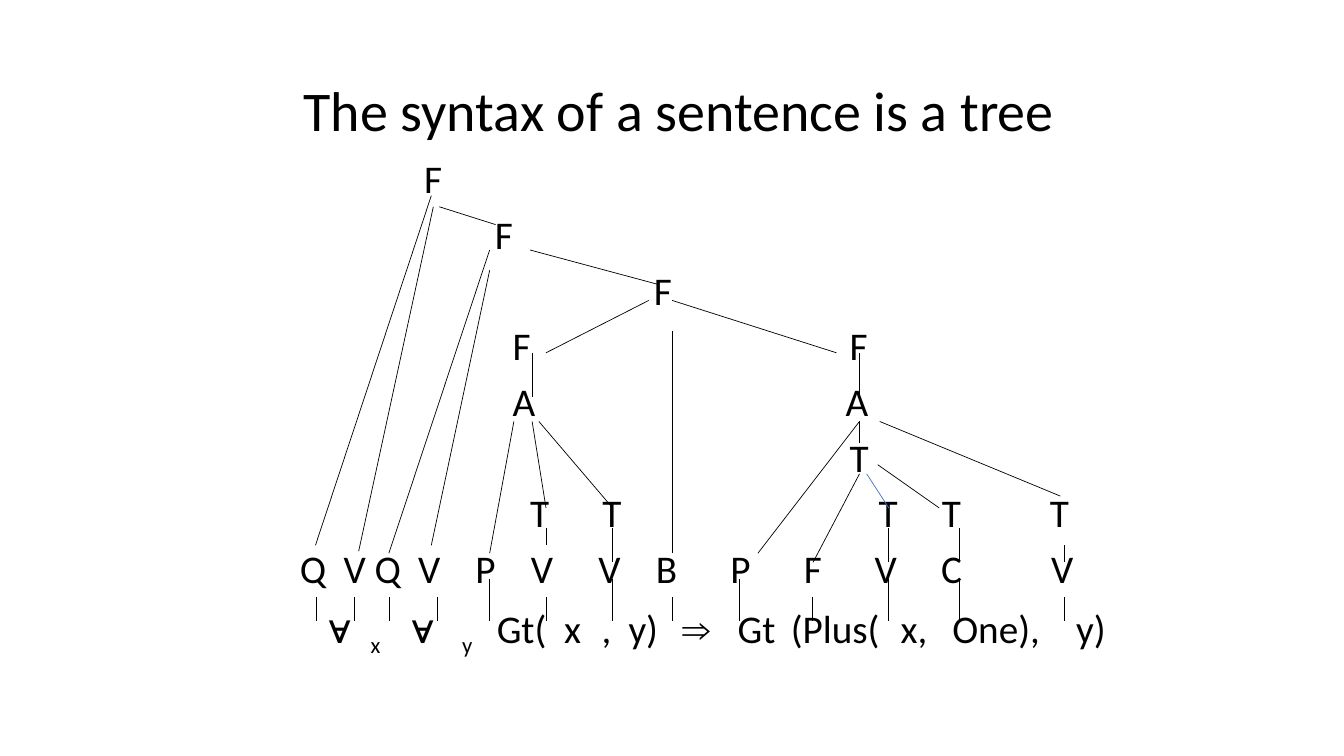
from lxml.etree import SubElement as add_element
from pptx import Presentation
from pptx.dml.color import RGBColor
from pptx.enum.shapes import MSO_CONNECTOR as Connector
from pptx.enum.text import MSO_ANCHOR as Anchor, PP_ALIGN as Align
from pptx.oxml.ns import qn
from pptx.util import Cm, Pt

BLACK, BLUE = "000000", "4472C4"
BODY_FONT, SYMBOL_FONT = "Calibri", "Times New Roman"

TREE_ROWS = [
    [("F", 7.85)],
    [("F", 9.63)],
    [("F", 13.64)],
    [("F", 10.08), ("F", 18.57)],
    [("A", 10.08), ("A", 18.47)],
    [("T", 18.57)],
    [("T", 10.52), ("T", 12.34), ("T", 19.3), ("T", 20.9), ("T", 23.62)],
    [("Q", 4.72), ("V", 5.82), ("Q", 6.6), ("V", 7.7), ("P", 9.14),
     ("V", 10.54), ("V", 12.24), ("B", 13.69), ("P", 15.57), ("F", 17.42),
     ("V", 19.2), ("C", 20.88), ("V", 23.65)],
    [("∀", 5.44), ("x", 6.5), ("∀", 7.52), ("y", 8.81), ("Gt(", 9.68),
     ("x", 11.38), (",", 12.32), ("y)", 13), ("⇒", 14.35), ("Gt", 15.75),
     ("(Plus(", 17.09), ("x,", 19.86), ("One),", 21.16), ("y)", 24.28)],
]
SUBSCRIPT_STOPS = {6.5, 8.81}

SHORT_LEAF_STEMS = [5.13, 6.1, 6.96, 8.18, 10.92, 14.1, 17.63, 23.98]
LONG_LEAF_STEMS = [9.5, 12.6, 15.8, 19.56, 21.34]
STEM_GROUPS = [
    (SHORT_LEAF_STEMS, 11.13, 11.73),
    (LONG_LEAF_STEMS, 10.67, 11.73),
    ([10.92], 9.4, 9.83),
    ([12.6, 19.56, 21.34], 9.4, 10.26),
    ([23.98], 9.83, 10.26),
    ([18.82], 6.71, 7.26),
    ([10.57, 18.82], 4.98, 6.1),
    ([14.1], 4.42, 10.03),
]
BRANCHES = [
    (18.82, 8.03, 17.65, 10.26),
    (10.11, 6.71, 9.5, 10.03),
    (10.57, 6.71, 10.92, 8.89),
    (18.82, 6.71, 16.26, 10.03),
    (19.28, 7.8, 20.83, 8.89),
    (10.74, 6.71, 12.6, 8.89),
    (19.33, 6.71, 23.88, 8.59),
    (13.51, 3.66, 10.92, 4.98),
    (14.1, 3.66, 18.24, 4.98),
    (9.5, 2.39, 6.96, 10.03),
    (9.5, 2.9, 8.03, 9.83),
    (10.52, 2.39, 13.72, 3.25),
    (8.03, 1.02, 5.11, 9.83),
    (8.08, 1.3, 6.2, 9.98),
    (8.23, 1.3, 9.65, 1.75),
]
BLUE_BRANCH = (19, 8.03, 19.56, 8.89)


def color(hex_text):
    """Turn a hex string into a colour."""
    return RGBColor.from_string(hex_text)


def add_span(para, text, size=28, font=BODY_FONT, fill=BLACK, subscript=False):
    """Add formatted text to a paragraph."""
    span = para.add_run()
    span.text = text
    span.font.size = Pt(size)
    span.font.name = font
    span.font.color.rgb = color(fill)
    if subscript:
        span.font._element.set("baseline", "-25000")


def add_text_frame(page, box, anchor):
    """Add a wrapping text box and return its frame."""
    frame = page.shapes.add_textbox(*(Cm(value) for value in box)).text_frame
    frame.word_wrap = True
    frame.vertical_anchor = anchor
    return frame


def add_title(page, box):
    """Place the centred slide title."""
    para = add_text_frame(page, box, Anchor.MIDDLE).paragraphs[0]
    para.alignment = Align.CENTER
    para.line_spacing = 0.9
    add_span(para, "The syntax of a sentence is a tree", size=40)


def add_tree_row(para, row):
    """Write one level of the tree on its tab stops."""
    para.line_spacing = 0.9
    para.space_before = Pt(9.5)
    tabs = add_element(para._p.get_or_add_pPr(), qn("a:tabLst"))
    for text, stop in row:
        add_element(tabs, qn("a:tab"), pos=str(int(Cm(stop))), algn="l")
        font = SYMBOL_FONT if text in "∀⇒" else BODY_FONT
        add_span(para, "\t" + text, font=font,
                 subscript=stop in SUBSCRIPT_STOPS)


def add_branch(page, box, ends, stroke=BLACK):
    """Draw a line between two points of the box."""
    left, top = box[:2]
    x1, y1, x2, y2 = ends
    branch = page.shapes.add_connector(
        Connector.STRAIGHT, Cm(left + x1), Cm(top + y1),
        Cm(left + x2), Cm(top + y2))
    branch.line.color.rgb = color(stroke)
    branch.line.width = Pt(0.5)
    add_element(branch._element.spPr, qn("a:effectLst"))


def add_tree(page, box):
    """Place the node labels and the lines that join them."""
    frame = add_text_frame(page, box, Anchor.TOP)
    frame.margin_left = 0
    for index, row in enumerate(TREE_ROWS):
        para = frame.add_paragraph() if index else frame.paragraphs[0]
        add_tree_row(para, row)
    for stems, top, bottom in STEM_GROUPS:
        for x in stems:
            add_branch(page, box, (x, top, x, bottom))
    for ends in BRANCHES:
        add_branch(page, box, ends)
    add_branch(page, box, BLUE_BRANCH, stroke=BLUE)


def main():
    """Build the deck and save it."""
    deck = Presentation()
    deck.slide_width, deck.slide_height = Cm(33.87), Cm(19.05)
    page = deck.slides.add_slide(deck.slide_layouts[6])
    add_title(page, (2.5, 1.02, 29.21, 3.68))
    add_tree(page, (2.84, 3.91, 29.21, 13.51))
    deck.save("out.pptx")


if __name__ == "__main__":
    main()
